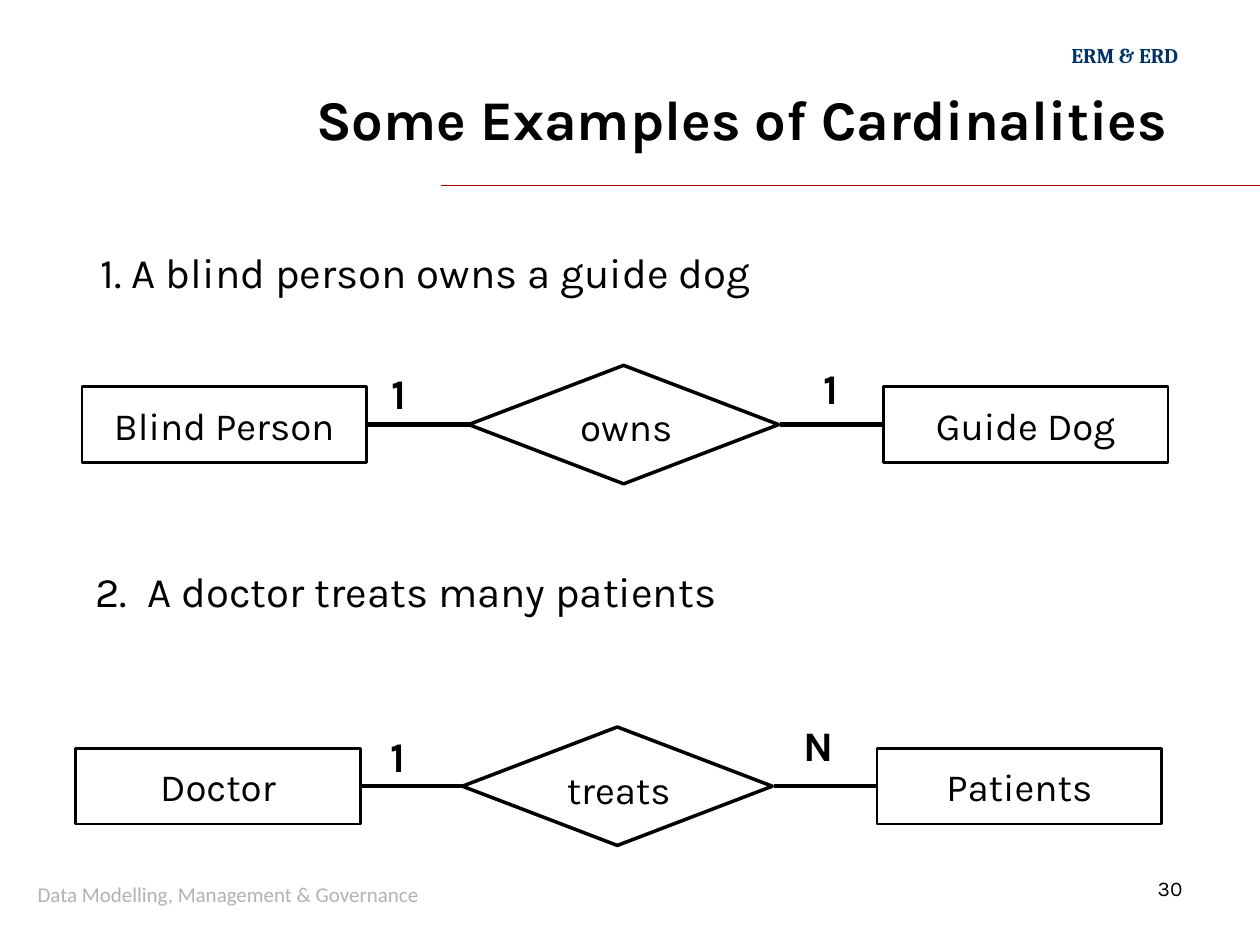
from lxml.etree import SubElement
from pptx import Presentation
from pptx.dml.color import RGBColor
from pptx.enum.shapes import MSO_CONNECTOR as CONNECTOR, MSO_SHAPE as SHAPE
from pptx.enum.text import MSO_ANCHOR as ANCHOR, PP_ALIGN as ALIGN
from pptx.oxml.ns import qn
from pptx.util import Inches, Pt

# Content: box is left, top, width, height
TEXTS = [
    ("ERM & ERD", (8.37, 0.29, 1.08, 0.3),
     dict(size=12, font="Cambria", color="003366", bold=True, align=ALIGN.RIGHT, wrap=False)),
    ("30", (9.09, 6.9, 0.63, 0.3), dict(size=12)),
    ("Some Examples of Cardinalities", (2.41, 0.62, 8.38, 0.64), dict(size=32, bold=True)),
    ("1. A blind person owns a guide dog", (0.7, 1.91, 7.6, 0.5), dict(size=24)),
    ("2.  A doctor treats many patients", (0.66, 4.44, 7.68, 0.5), dict(size=24)),
    ("Data Modelling, Management & Governance", (0.2, 6.9, 4.41, 0.4),
     dict(size=12, font="Calibri", color="B2B2B2", anchor=ANCHOR.MIDDLE)),
]
# Each diagram starts at the left of its first entity and the top of its diamond
DIAGRAMS = [
    dict(origin=(0.65, 2.9), entities=("Blind Person", "Guide Dog"),
         relation="owns", relation_at=(4.45, 3.15), relation_align=ALIGN.CENTER,
         cardinalities=[("1", 3.01, 2.87), ("1", 6.44, 2.83)]),
    dict(origin=(0.6, 5.77), entities=("Doctor", "Patients"),
         relation="treats", relation_at=(4.4, 6.03), relation_align=ALIGN.LEFT,
         cardinalities=[("1", 3, 5.75), ("N", 6.28, 5.66)]),
]
ENTITY_WIDTH, ENTITY_HEIGHT, ENTITY_STEP = 2.26, 0.6, 6.36
DIAMOND_WIDTH, DIAMOND_HEIGHT, DIAMOND_OFFSET = 2.46, 0.94, 3.07
LINK_OFFSETS, LINK_LENGTH = (2.27, 5.54), 0.82

presentation = Presentation()
presentation.slide_width, presentation.slide_height = Inches(10), Inches(7.5)
slide = presentation.slides.add_slide(presentation.slide_layouts[6])


def rgb(color):
    return RGBColor.from_string(color)


def write(shape, text, size=22, font="Karla", color="000000", bold=False,
          align=ALIGN.LEFT, anchor=ANCHOR.TOP, wrap=True):
    frame = shape.text_frame
    frame.word_wrap = wrap
    frame.vertical_anchor = anchor
    paragraph = frame.paragraphs[0]
    paragraph.alignment = align
    run = paragraph.add_run()
    run.text = text
    run.font.size, run.font.name, run.font.bold = Pt(size), font, bold
    run.font.color.rgb = rgb(color)


def add_text(text, box, **style):
    write(slide.shapes.add_textbox(*map(Inches, box)), text, **style)


def add_outline(kind, box, line_width):
    shape = slide.shapes.add_shape(kind, *map(Inches, box))
    shape.shadow.inherit = False
    shape.fill.solid()
    shape.fill.fore_color.rgb = rgb("FFFFFF")
    shape.line.color.rgb = rgb("000000")
    shape.line.width = Pt(line_width)
    return shape


def add_line(left, right, y, color, width):
    line = slide.shapes.add_connector(
        CONNECTOR.STRAIGHT, Inches(left), Inches(y), Inches(right), Inches(y))
    line.line.color.rgb = rgb(color)
    line.line.width = Pt(width)
    SubElement(line.element.spPr, qn("a:effectLst"))


def add_diagram(origin, entities, relation, relation_at, relation_align, cardinalities):
    left, top = origin
    middle = top + DIAMOND_HEIGHT / 2
    # Entities
    for index, name in enumerate(entities):
        box = (left + index * ENTITY_STEP, middle - ENTITY_HEIGHT / 2,
               ENTITY_WIDTH, ENTITY_HEIGHT)
        write(add_outline(SHAPE.RECTANGLE, box, 1.5), name,
              align=ALIGN.CENTER, anchor=ANCHOR.MIDDLE, wrap=False)
    # Relationship
    add_outline(SHAPE.FLOWCHART_DECISION,
                (left + DIAMOND_OFFSET, top, DIAMOND_WIDTH, DIAMOND_HEIGHT), 2)
    add_text(relation, (*relation_at, 1.04, 0.47), align=relation_align)
    # Links and their cardinalities
    for offset in LINK_OFFSETS:
        add_line(left + offset, left + offset + LINK_LENGTH, middle, "000000", 2.5)
    for label, x, y in cardinalities:
        add_text(label, (x, y, 0.6, 0.5), size=24, bold=True)


# Rule under the title, texts and diagrams
add_line(3.5, 10, 1.47, "A80000", 0.75)
for text, box, style in TEXTS:
    add_text(text, box, **style)
for diagram in DIAGRAMS:
    add_diagram(**diagram)

presentation.save("out.pptx")
